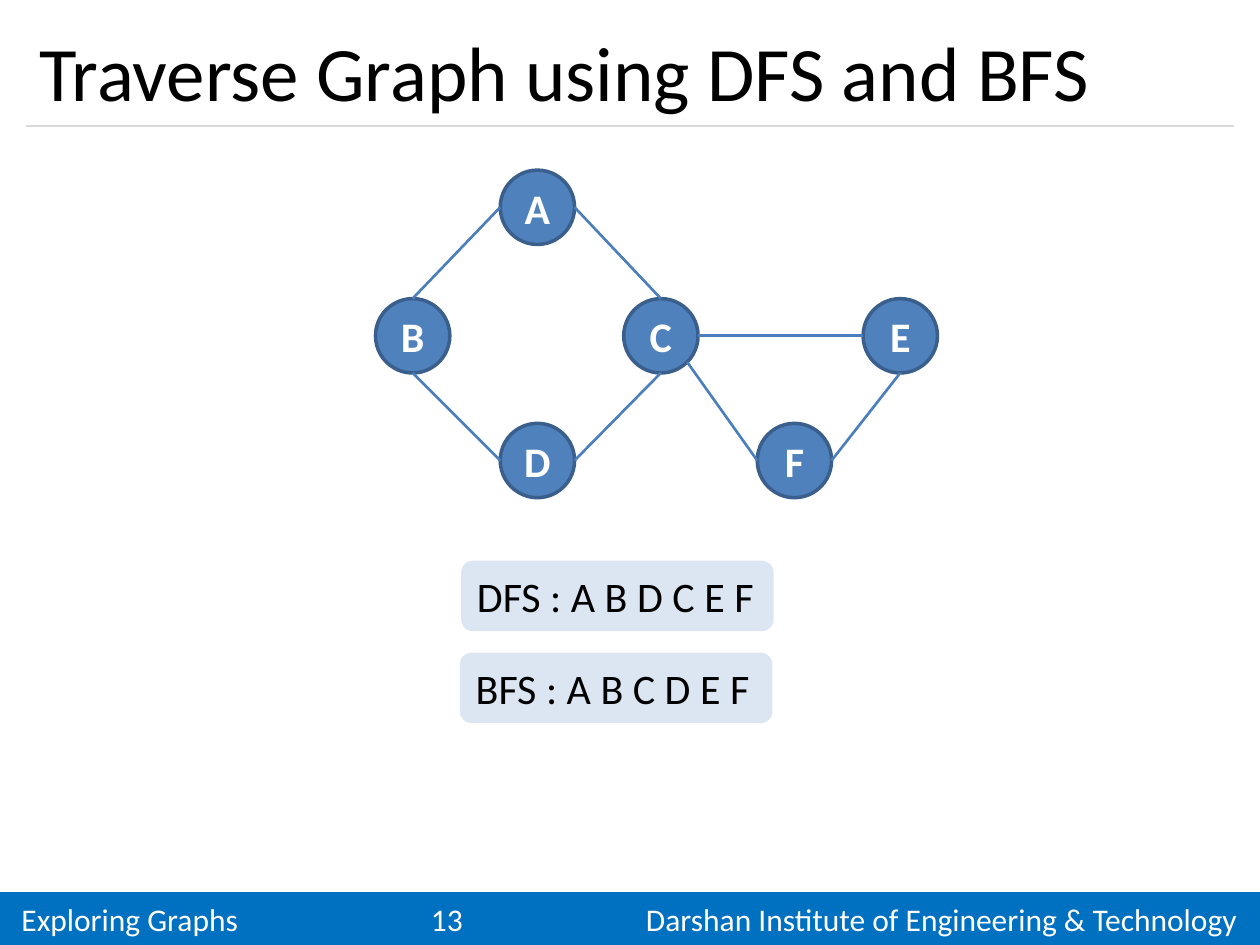
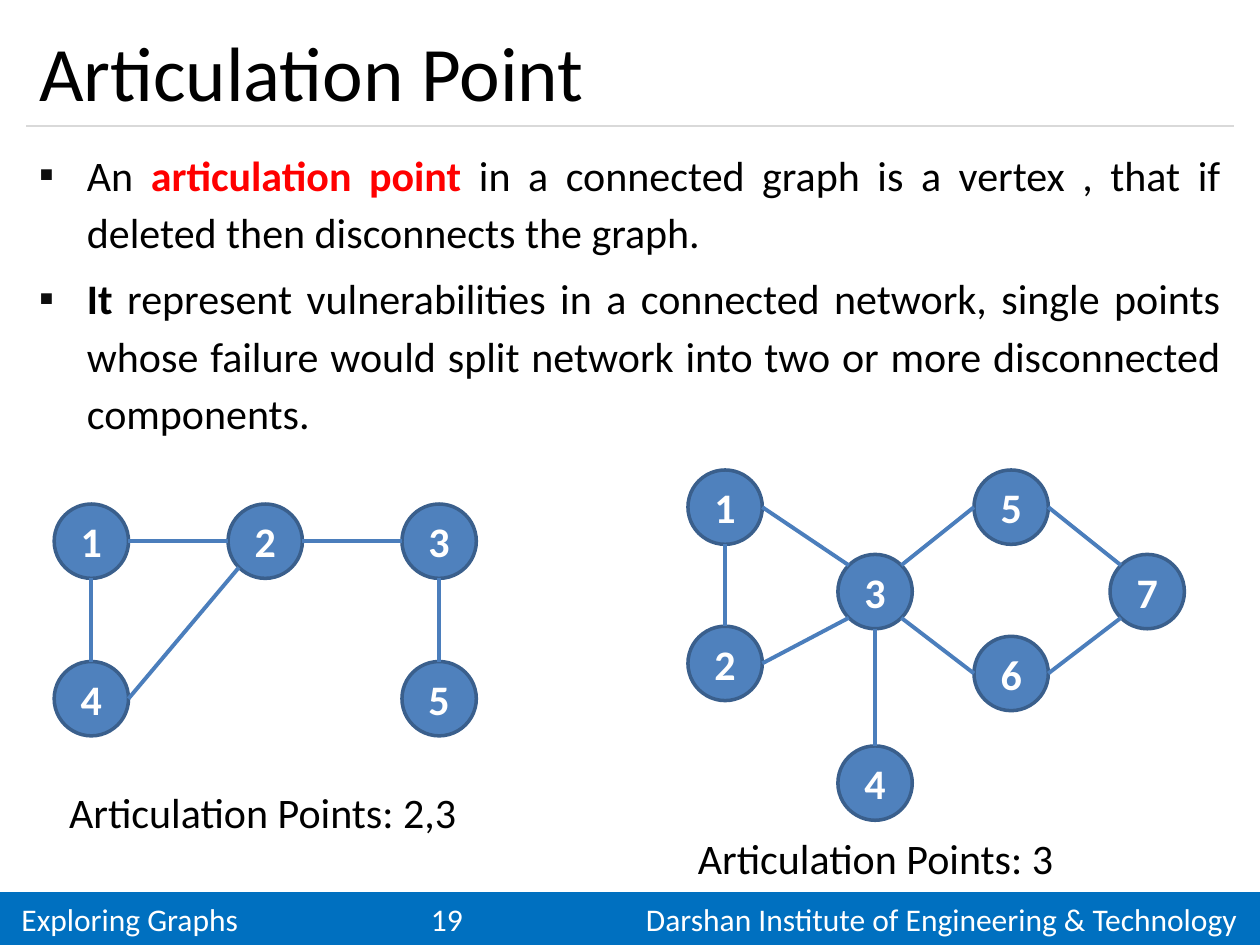
"""Build two slides on graph traversal and articulation points."""
import dataclasses
import enum
import math
import typing

import lxml.etree
import pptx
import pptx.dml.color
import pptx.enum.shapes
import pptx.enum.text
import pptx.oxml.ns
import pptx.util

Inches = pptx.util.Inches
Pt = pptx.util.Pt
Align = pptx.enum.text.PP_ALIGN
Anchor = pptx.enum.text.MSO_ANCHOR
Preset = pptx.enum.shapes.MSO_SHAPE
qn = pptx.oxml.ns.qn


@dataclasses.dataclass(frozen=True)
class Theme:
    font: str = "Calibri"
    ink: str = "000000"
    light: str = "FFFFFF"
    accent: str = "FF0000"
    bullet: str = "0D0D0D"
    band: str = "0070C0"
    rule: str = "D9D9D9"
    node: str = "4F81BD"
    node_border: str = "3A5F8C"
    edge: str = "4B7EBC"
    result: str = "DCE6F2"
    title_size: int = 44
    text_size: int = 24
    footer_size: int = 18


THEME = Theme()
NODE_SIZE = 0.59
MARGIN = 0.21
CONTENT_WIDTH = 9.58


class Site(enum.IntEnum):
    """Connection sites of an ellipse, counterclockwise from the top."""
    TOP = 0
    TOP_LEFT = 1
    LEFT = 2
    BOTTOM_LEFT = 3
    BOTTOM = 4
    BOTTOM_RIGHT = 5
    RIGHT = 6
    TOP_RIGHT = 7


class Node(typing.NamedTuple):
    label: str
    left: float
    top: float

    def site(self, site: Site) -> tuple[float, float]:
        """Return the place of a connection site on the circle."""
        radius = NODE_SIZE / 2
        angle = math.radians(90 + 45 * site)
        return (self.left + radius * (1 + math.cos(angle)),
                self.top + radius * (1 - math.sin(angle)))


class Edge(typing.NamedTuple):
    start: str
    start_site: Site
    end: str
    end_site: Site


@dataclasses.dataclass(frozen=True)
class Graph:
    nodes: list[Node]
    edges: list[Edge]
    edge_width: float = 2.25


class Label(typing.NamedTuple):
    text: str
    left: float
    top: float
    width: float
    height: float


TRAVERSED = Graph(
    [Node("A", 3.97, 1.35), Node("B", 2.98, 2.37), Node("D", 3.97, 3.36),
     Node("C", 4.95, 2.37), Node("F", 6.01, 3.36), Node("E", 6.85, 2.37)],
    [Edge("A", Site.LEFT, "B", Site.TOP),
     Edge("B", Site.BOTTOM, "D", Site.LEFT),
     Edge("D", Site.RIGHT, "C", Site.BOTTOM),
     Edge("A", Site.RIGHT, "C", Site.TOP),
     Edge("C", Site.BOTTOM_RIGHT, "F", Site.LEFT),
     Edge("F", Site.RIGHT, "E", Site.BOTTOM),
     Edge("C", Site.RIGHT, "E", Site.LEFT)],
    edge_width=1.5)

TWO_CUT_POINTS = Graph(
    [Node("1", 0.43, 4), Node("4", 0.43, 5.25), Node("2", 1.81, 4),
     Node("3", 3.19, 4), Node("5", 3.19, 5.25)],
    [Edge("1", Site.RIGHT, "2", Site.LEFT),
     Edge("2", Site.RIGHT, "3", Site.LEFT),
     Edge("1", Site.BOTTOM, "4", Site.TOP),
     Edge("4", Site.RIGHT, "2", Site.BOTTOM_LEFT),
     Edge("3", Site.BOTTOM, "5", Site.TOP)])

ONE_CUT_POINT = Graph(
    [Node("1", 5.46, 3.73), Node("2", 5.46, 4.97), Node("3", 6.65, 4.4),
     Node("5", 7.73, 3.73), Node("7", 8.81, 4.4), Node("6", 7.73, 5.05),
     Node("4", 6.65, 5.92)],
    [Edge("1", Site.RIGHT, "3", Site.TOP_LEFT),
     Edge("1", Site.BOTTOM, "2", Site.TOP),
     Edge("2", Site.RIGHT, "3", Site.BOTTOM_LEFT),
     Edge("3", Site.TOP_RIGHT, "5", Site.LEFT),
     Edge("3", Site.BOTTOM_RIGHT, "6", Site.LEFT),
     Edge("3", Site.BOTTOM, "4", Site.TOP),
     Edge("5", Site.RIGHT, "7", Site.TOP_LEFT),
     Edge("6", Site.RIGHT, "7", Site.BOTTOM_LEFT)])

TRAVERSALS = [Label("DFS : A B D C E F", 3.66, 4.45, 2.48, 0.56),
              Label("BFS : A B C D E F", 3.65, 5.18, 2.48, 0.56)]
CAPTIONS = [Label("Articulation Points: 2,3", 0.45, 6.19, 3.31, 0.5),
            Label("Articulation Points: 3", 5.44, 6.56, 3.31, 0.5)]

DEFINITION = [
    [("An ", {}),
     ("articulation point ", {"color": THEME.accent, "bold": True}),
     ("in a connected graph is a vertex , that if deleted then "
      "disconnects the graph.", {})],
    [("It ", {"bold": True}),
     ("represent vulnerabilities in a connected network, single points whose "
      "failure would split network into two or more disconnected components.",
      {})],
]


def rgb(color: str) -> pptx.dml.color.RGBColor:
    """Turn a hex string into a colour."""
    return pptx.dml.color.RGBColor.from_string(color)


def write(paragraph, text: str, *, size: int = THEME.text_size,
          color: str = THEME.ink, bold: bool = False,
          align: Align = Align.LEFT) -> None:
    """Add formatted text to a paragraph."""
    paragraph.alignment = align
    run = paragraph.add_run()
    run.text = text
    run.font.name = THEME.font
    run.font.size = Pt(size)
    run.font.bold = bold
    run.font.color.rgb = rgb(color)


def place(shape, left: float, top: float, width: float, height: float) -> None:
    """Move and size a placeholder."""
    shape.left, shape.top = Inches(left), Inches(top)
    shape.width, shape.height = Inches(width), Inches(height)


def add_filled(slide, preset: Preset, left: float, top: float, width: float,
               height: float, fill: str, border: str | None = None):
    """Add a flat preset shape with an optional border."""
    shape = slide.shapes.add_shape(
        preset, Inches(left), Inches(top), Inches(width), Inches(height))
    shape.shadow.inherit = False
    shape.fill.solid()
    shape.fill.fore_color.rgb = rgb(fill)
    if border:
        shape.line.color.rgb = rgb(border)
        shape.line.width = Pt(2)
    else:
        shape.line.fill.background()
    return shape


def add_line(slide, start: tuple[float, float], end: tuple[float, float],
             color: str, width: float):
    """Add a straight line without a shadow."""
    line = slide.shapes.add_connector(
        pptx.enum.shapes.MSO_CONNECTOR.STRAIGHT,
        *(Inches(value) for value in (*start, *end)))
    line.line.color.rgb = rgb(color)
    line.line.width = Pt(width)
    lxml.etree.SubElement(line.element.spPr, qn("a:effectLst"))
    return line


def add_graph(slide, graph: Graph) -> None:
    """Draw the nodes and glue the edges to their connection sites."""
    nodes = {node.label: node for node in graph.nodes}
    circles = {}
    for node in graph.nodes:
        circle = add_filled(slide, Preset.OVAL, node.left, node.top, NODE_SIZE,
                            NODE_SIZE, THEME.node, THEME.node_border)
        frame = circle.text_frame
        frame.margin_left = frame.margin_right = 0
        frame.margin_top = frame.margin_bottom = 0
        frame.vertical_anchor = Anchor.MIDDLE
        write(frame.paragraphs[0], node.label, color=THEME.light, bold=True,
              align=Align.CENTER)
        circles[node.label] = circle
    for edge in graph.edges:
        line = add_line(slide, nodes[edge.start].site(edge.start_site),
                        nodes[edge.end].site(edge.end_site),
                        THEME.edge, graph.edge_width)
        joints = line.element.find(".//" + qn("p:cNvCxnSpPr"))
        for tag, label, site in (("a:stCxn", edge.start, edge.start_site),
                                 ("a:endCxn", edge.end, edge.end_site)):
            lxml.etree.SubElement(joints, qn(tag), idx=str(int(site)),
                                  id=str(circles[label].shape_id))


def add_footer(slide, number: int) -> None:
    """Add the band with the chapter, page number and institute."""
    band = add_filled(slide, Preset.RECTANGLE, 0, 7.08, 10, 0.42, THEME.band)
    frame = band.text_frame
    frame.margin_left, frame.margin_right = Inches(0.17), Inches(0.1)
    frame.vertical_anchor = Anchor.MIDDLE
    paragraph = frame.paragraphs[0]
    tabs = lxml.etree.SubElement(
        paragraph._p.get_or_add_pPr(), qn("a:tabLst"))
    for position, side in ((3.25, "l"), (9.65, "r")):
        lxml.etree.SubElement(tabs, qn("a:tab"), pos=str(Inches(position)),
                              algn=side)
    write(paragraph, f"Exploring Graphs\t{number}\t"
          "Darshan Institute of Engineering & Technology",
          size=THEME.footer_size, color=THEME.light)


def add_slide(deck, layout: int, title: str, number: int):
    """Add a slide with the shared title, rule and footer."""
    slide = deck.slides.add_slide(deck.slide_layouts[layout])
    heading = slide.shapes.title
    place(heading, MARGIN, 0.12, CONTENT_WIDTH, 0.88)
    heading.text_frame.vertical_anchor = Anchor.MIDDLE
    heading.text_frame.auto_size = pptx.enum.text.MSO_AUTO_SIZE.NONE
    write(heading.text_frame.paragraphs[0], title, size=THEME.title_size)
    add_line(slide, (MARGIN, 1), (MARGIN + CONTENT_WIDTH, 1), THEME.rule, 0.75)
    add_footer(slide, number)
    return slide


def fill_bullets(body, items: list) -> None:
    """Fill the body placeholder with justified bullets."""
    place(body, MARGIN, 1.08, CONTENT_WIDTH, 5.83)
    frame = body.text_frame
    frame.auto_size = pptx.enum.text.MSO_AUTO_SIZE.NONE
    for index, item in enumerate(items):
        paragraph = frame.add_paragraph() if index else frame.paragraphs[0]
        properties = paragraph._p.get_or_add_pPr()
        properties.set("marL", str(Inches(0.38)))
        properties.set("indent", str(Inches(-0.38)))
        tint = lxml.etree.SubElement(properties, qn("a:buClr"))
        lxml.etree.SubElement(tint, qn("a:srgbClr"), val=THEME.bullet)
        lxml.etree.SubElement(properties, qn("a:buFont"), typeface=THEME.font)
        lxml.etree.SubElement(properties, qn("a:buChar"), char="▪")
        paragraph.line_spacing = 1.14
        paragraph.space_before = Pt(4.8 if index else 0)
        for text, emphasis in item:
            write(paragraph, text, align=Align.JUSTIFY, **emphasis)


def build_traversal(deck) -> None:
    """Build the slide on depth-first and breadth-first traversal."""
    slide = add_slide(deck, 5, "Traverse Graph using DFS and BFS", 13)
    add_graph(slide, TRAVERSED)
    for text, *bounds in TRAVERSALS:
        result = add_filled(slide, Preset.ROUNDED_RECTANGLE, *bounds,
                            THEME.result)
        result.text_frame.vertical_anchor = Anchor.TOP
        write(result.text_frame.paragraphs[0], text, align=Align.JUSTIFY)


def build_articulation(deck) -> None:
    """Build the slide on articulation points."""
    slide = add_slide(deck, 1, "Articulation Point", 19)
    fill_bullets(slide.placeholders[1], DEFINITION)
    for graph in (TWO_CUT_POINTS, ONE_CUT_POINT):
        add_graph(slide, graph)
    for text, *bounds in CAPTIONS:
        caption = slide.shapes.add_textbox(*map(Inches, bounds))
        caption.text_frame.word_wrap = True
        write(caption.text_frame.paragraphs[0], text)


def main() -> None:
    """Build and save the presentation."""
    deck = pptx.Presentation()
    deck.slide_width, deck.slide_height = Inches(10), Inches(7.5)
    build_traversal(deck)
    build_articulation(deck)
    deck.save("out.pptx")


if __name__ == "__main__":
    main()
